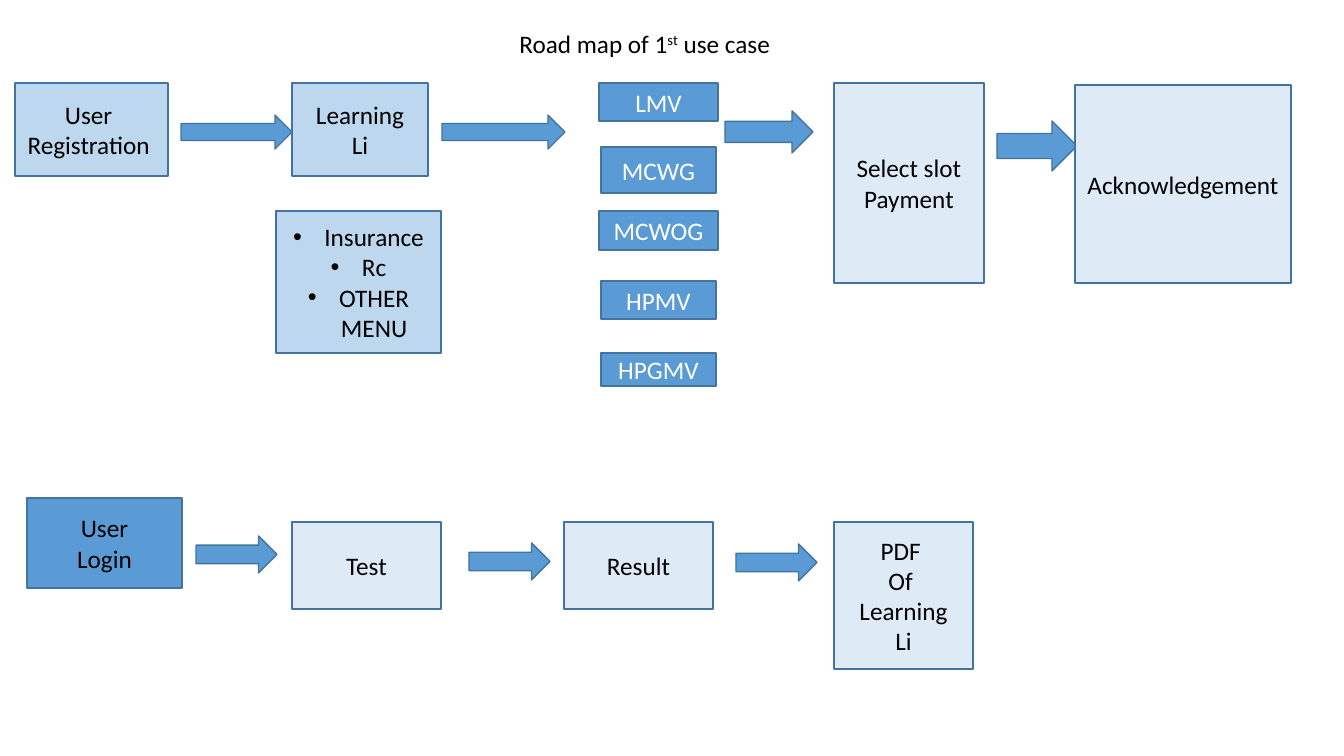
import dataclasses

import lxml.etree
import pptx
import pptx.dml.color
import pptx.enum.shapes
import pptx.enum.text
import pptx.oxml.ns
import pptx.util

PIXEL = 914400 / 100.8
SHAPES = pptx.enum.shapes.MSO_SHAPE
ANCHOR = pptx.enum.text.MSO_ANCHOR


@dataclasses.dataclass(frozen=True)
class Theme:
    strong: str = "5B9BD5"
    medium: str = "BDD7EE"
    pale: str = "DEEBF7"
    outline: str = "43739E"
    dark_text: str = "000000"
    light_text: str = "FFFFFF"
    font: str = "Calibri"
    text_size: int = 18
    line_width: int = 1


THEME = Theme()


def emu(pixels):
    return pptx.util.Emu(round(pixels * PIXEL))


def color(value):
    return pptx.dml.color.RGBColor.from_string(value)


def style_paragraph(paragraph, text_color):
    paragraph.alignment = pptx.enum.text.PP_ALIGN.CENTER
    paragraph.font.name = THEME.font
    paragraph.font.size = pptx.util.Pt(THEME.text_size)
    paragraph.font.color.rgb = color(text_color)


def add_bullet(paragraph):
    properties = paragraph._p.get_or_add_pPr()
    indent = pptx.util.Inches(0.31)
    properties.set("marL", str(indent))
    properties.set("indent", str(-indent))
    for tag, name, value in (("a:buFont", "typeface", "Arial"), ("a:buChar", "char", "•")):
        lxml.etree.SubElement(properties, pptx.oxml.ns.qn(tag)).set(name, value)


def add_block(slide, kind, origin, box, fill):
    left, top, width, height = box
    shape = slide.shapes.add_shape(
        kind, emu(origin[0] + left), emu(origin[1] + top), emu(width), emu(height))
    shape.shadow.inherit = False
    shape.fill.solid()
    shape.fill.fore_color.rgb = color(fill)
    shape.line.color.rgb = color(THEME.outline)
    shape.line.width = pptx.util.Pt(THEME.line_width)
    return shape


def add_step(slide, origin, box, fill, lines, text_color=THEME.dark_text, bulleted=False):
    frame = add_block(slide, SHAPES.RECTANGLE, origin, box, fill).text_frame
    frame.word_wrap = True
    frame.vertical_anchor = ANCHOR.MIDDLE
    frame.text = "\n".join(lines)
    for paragraph in frame.paragraphs:
        style_paragraph(paragraph, text_color)
        if bulleted:
            add_bullet(paragraph)


def add_arrows(slide, origin, boxes):
    for box in boxes:
        add_block(slide, SHAPES.RIGHT_ARROW, origin, box, THEME.strong)


def add_title(slide, box):
    title = slide.shapes.title
    title.left, title.top, title.width, title.height = map(emu, box)
    frame = title.text_frame
    frame.word_wrap = True
    frame.auto_size = pptx.enum.text.MSO_AUTO_SIZE.NONE
    frame.vertical_anchor = ANCHOR.TOP
    paragraph = frame.paragraphs[0]
    style_paragraph(paragraph, THEME.dark_text)
    for text in ("Road map of 1", "st", " use case "):
        run = paragraph.add_run()
        run.text = text
        if text == "st":
            run._r.get_or_add_rPr().set("baseline", "30000")


def add_vehicle_classes(slide, origin):
    wide, narrow = (0, 119), (2, 115)
    classes = (
        ("LMV", wide, 0, 38),
        ("MCWG", narrow, 64, 46),
        ("MCWOG", wide, 128, 39),
        ("HPMV", narrow, 198, 38),
        ("HPGMV", narrow, 270, 33),
    )
    for name, (left, width), top, height in classes:
        add_step(slide, origin, (left, top, width, height), THEME.strong, [name],
                 THEME.light_text)


def add_registration_flow(slide, origin):
    left, top = origin
    steps = (
        ((0, 0, 153, 93), THEME.medium, ["User ", "Registration "]),
        ((277, 0, 136, 93), THEME.medium, ["Learning", "Li"]),
        ((819, 0, 150, 200), THEME.pale, ["Select slot", "Payment"]),
        ((1060, 2, 216, 198), THEME.pale, ["Acknowledgement"]),
    )
    add_arrows(slide, origin, (
        (166, 32, 111, 34), (427, 32, 123, 34), (710, 28, 88, 42), (982, 38, 80, 50)))
    for box, fill, lines in steps:
        add_step(slide, origin, box, fill, lines)
    add_step(slide, origin, (261, 128, 165, 142), THEME.medium,
             ["Insurance", "Rc", "OTHER MENU"], bulleted=True)
    add_vehicle_classes(slide, (left + 584, top))


def add_login_flow(slide, origin):
    steps = (
        ((0, 0, 155, 90), THEME.strong, ["User", "Login"]),
        ((265, 24, 149, 87), THEME.pale, ["Test"]),
        ((537, 24, 149, 87), THEME.pale, ["Result"]),
        ((807, 24, 139, 147), THEME.pale, ["PDF ", "Of ", "Learning", "Li"]),
    )
    for box, fill, lines in steps:
        add_step(slide, origin, box, fill, lines)
    add_arrows(slide, origin, [
        (left, top, 81, 37) for left, top in ((169, 38), (442, 45), (709, 46))])


presentation = pptx.Presentation()
presentation.slide_width, presentation.slide_height = emu(1344), emu(756)
slide = presentation.slides.add_slide(presentation.slide_layouts[5])

# Heading
add_title(slide, (166, 23, 963, 40))

# Registration on top, login below
add_registration_flow(slide, (15, 83))
add_login_flow(slide, (27, 498))

presentation.save("out.pptx")
